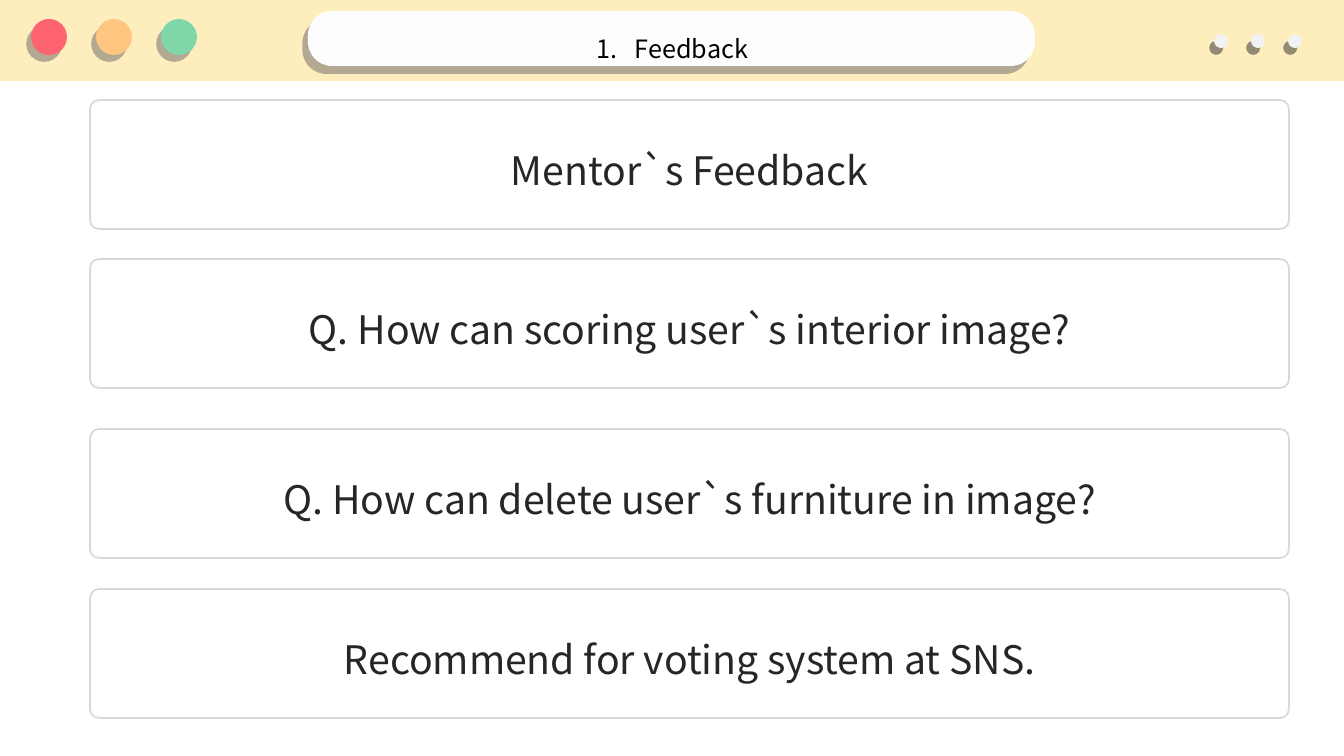
from dataclasses import dataclass

import pptx
import pptx.dml.color
import pptx.enum.shapes
import pptx.enum.text
import pptx.oxml
import pptx.oxml.ns
import pptx.util

SHAPES = pptx.enum.shapes.MSO_SHAPE
PX = 914400 / 100.8


def px(length):
    return pptx.util.Emu(round(length * PX))


def rgb(code):
    return pptx.dml.color.RGBColor.from_string(code)


@dataclass(frozen=True)
class Theme:
    font: str = "Noto Sans CJK KR"
    title_size: int = 18
    card_size: int = 28
    header: str = "FFEEBD"
    title_bar: str = "FDFDFD"
    title_text: str = "000000"
    window_buttons: tuple = ("FD646F", "FFC682", "7FD7A9")
    menu_dot: str = "F2F2F2"
    shadow: str = "767171"
    menu_shadow: str = "3B3838"
    card: str = "FFFFFF"
    card_line: str = "D9D9D9"
    card_text: str = "262626"


class SlideBuilder:
    def __init__(self, slide, theme):
        self.slide = slide
        self.theme = theme

    def shape(self, kind, box, fill, line=None, radius=None, parent=None):
        shapes = (parent or self.slide).shapes
        shape = shapes.add_shape(kind, *map(px, box))
        shape.shadow.inherit = False
        shape.fill.solid()
        shape.fill.fore_color.rgb = rgb(fill)
        if line:
            shape.line.color.rgb = rgb(line)
            shape.line.width = pptx.util.Pt(1.25)
        else:
            shape.line.fill.background()
        if radius is not None:
            shape.adjustments[0] = radius
        return shape

    def hard_shadow(self, shape, color, distance):
        effects = shape._element.spPr.find(pptx.oxml.ns.qn("a:effectLst"))
        effects.append(pptx.oxml.parse_xml(
            f'<a:outerShdw {pptx.oxml.ns.nsdecls("a")} blurRad="0" '
            f'dist="{pptx.util.Pt(distance)}" dir="{125 * 60000}" algn="ctr" '
            f'rotWithShape="0"><a:srgbClr val="{color}">'
            '<a:alpha val="55000"/></a:srgbClr></a:outerShdw>'))

    def circle(self, left, top, size, fill, shadow):
        circle = self.shape(SHAPES.OVAL, (left, top, size, size), fill)
        self.hard_shadow(circle, shadow, 6)

    def text(self, box, words, size, color, spacing, parent=None):
        shapes = (parent or self.slide).shapes
        frame = shapes.add_textbox(*map(px, box)).text_frame
        frame.word_wrap = True
        frame.auto_size = pptx.enum.text.MSO_AUTO_SIZE.SHAPE_TO_FIT_TEXT
        paragraph = frame.paragraphs[0]
        paragraph.alignment = pptx.enum.text.PP_ALIGN.CENTER
        paragraph.line_spacing = spacing
        run = paragraph.add_run()
        run.text = words
        run.font.name = self.theme.font
        run.font.size = pptx.util.Pt(size)
        run.font.color.rgb = rgb(color)
        return paragraph

    def number(self, paragraph, indent):
        properties = paragraph._p.get_or_add_pPr()
        properties.set("marL", str(px(indent)))
        properties.set("indent", str(-px(indent)))
        properties.append(pptx.oxml.parse_xml(
            f'<a:buAutoNum {pptx.oxml.ns.nsdecls("a")} type="arabicPeriod"/>'))

    def card(self, top, words):
        theme = self.theme
        group = self.slide.shapes.add_group_shape()
        self.shape(SHAPES.ROUNDED_RECTANGLE, (90, top, 1199, 129), theme.card,
                   theme.card_line, 0.07, group)
        self.text((206, top + 30, 967, 66), words, theme.card_size,
                  theme.card_text, 1.25, group)


def main():
    presentation = pptx.Presentation()
    presentation.slide_width = px(1344)
    presentation.slide_height = px(756)
    slide = presentation.slides.add_slide(presentation.slide_layouts[6])
    theme = Theme()
    builder = SlideBuilder(slide, theme)

    # Header band with menu dots
    builder.shape(SHAPES.RECTANGLE, (0, 0, 1344, 81), theme.header)
    for index in range(3):
        builder.circle(1214 + 37 * index, 34, 14, theme.menu_dot,
                       theme.menu_shadow)

    # Title bar
    title_bar = builder.shape(SHAPES.ROUNDED_RECTANGLE, (308, 11, 727, 55),
                              theme.title_bar, radius=0.44)
    builder.hard_shadow(title_bar, theme.shadow, 7)
    title = builder.text((490, 13, 365, 51), "Feedback", theme.title_size,
                         theme.title_text, 1.5)
    builder.number(title, 38)

    # Window buttons
    for index, color in enumerate(theme.window_buttons):
        builder.circle(31 + 65 * index, 19, 36, color, theme.shadow)

    # Feedback cards
    cards = (
        (100, "Mentor`s Feedback"),
        (259, "Q. How can scoring user`s interior image?"),
        (429, "Q. How can delete user`s furniture in image?"),
        (589, "Recommend for voting system at SNS."),
    )
    for top, words in cards:
        builder.card(top, words)

    presentation.save("out.pptx")


if __name__ == "__main__":
    main()
